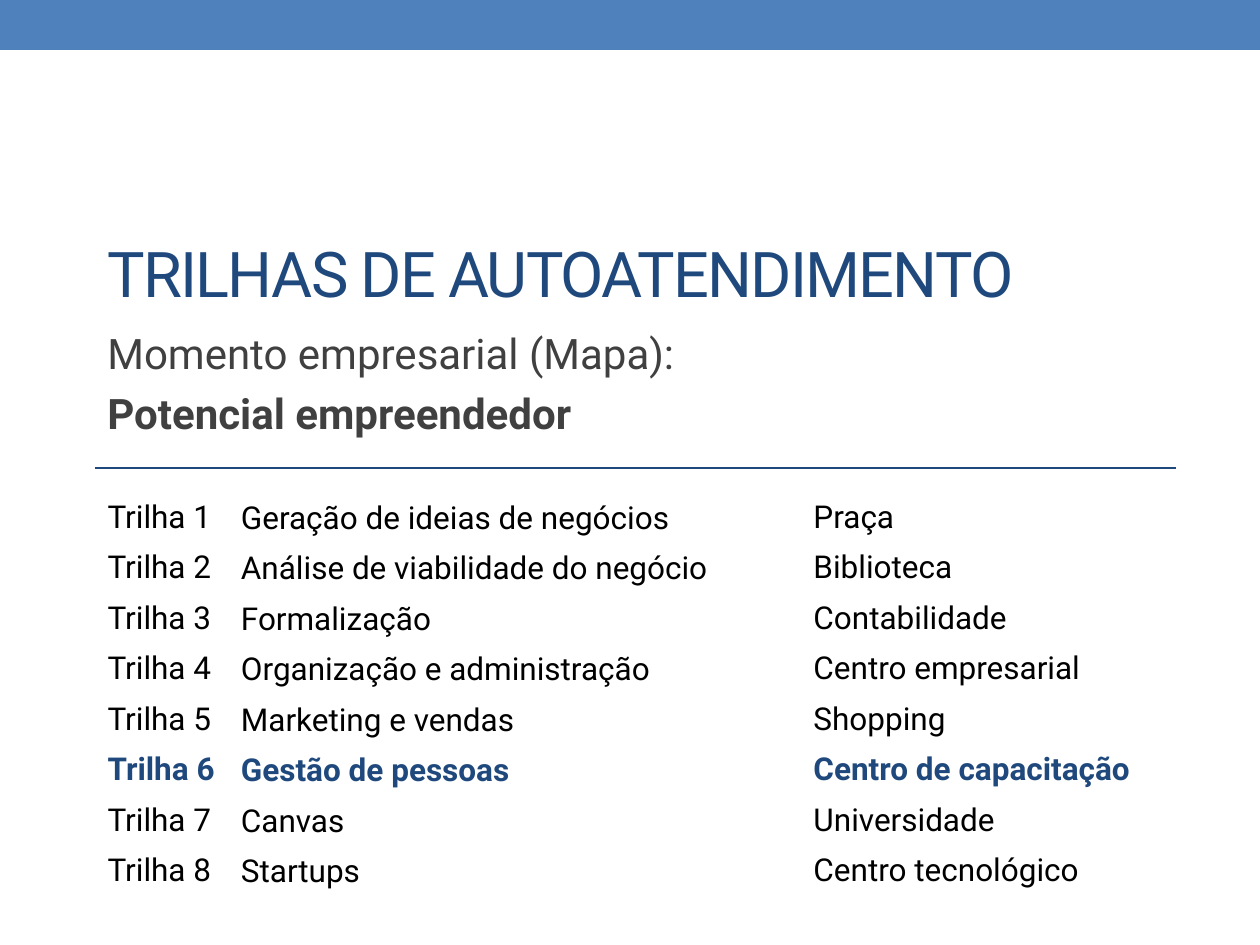
import pptx
import pptx.dml.color
import pptx.enum.shapes
import pptx.enum.text
import pptx.oxml.ns
import pptx.util
import lxml.etree

EMU_PER_PX = 914400 // 126
SLIDE_WIDTH, SLIDE_HEIGHT = 1260, 945
LEFT = 95
FONT = "Roboto"
COLORS = {"band": "4F81BD", "accent": "1F497D", "subtitle": "404040", "body": "000000"}

COLUMN_WIDTHS = [145, 561, 425]
ROW_HEIGHT = 49
HIGHLIGHTED_TRAIL = 6
TRAILS = [
    ("Geração de ideias de negócios", "Praça"),
    ("Análise de viabilidade do negócio", "Biblioteca"),
    ("Formalização", "Contabilidade"),
    ("Organização e administração", "Centro empresarial"),
    ("Marketing e vendas", "Shopping"),
    ("Gestão de pessoas", "Centro de capacitação"),
    ("Canvas", "Universidade"),
    ("Startups", "Centro tecnológico"),
]


def px(length):
    return pptx.util.Emu(length * EMU_PER_PX)


def rgb(color):
    return pptx.dml.color.RGBColor.from_string(COLORS[color])


def style_paragraph(paragraph, size, color, bold=False):
    font = paragraph.font
    font.name = FONT
    font.size = pptx.util.Pt(size)
    font.bold = bold
    font.color.rgb = rgb(color)


def add_band(slide):
    band = slide.shapes.add_shape(
        pptx.enum.shapes.MSO_SHAPE.RECTANGLE, 0, 0, px(SLIDE_WIDTH), px(50))
    band.shadow.inherit = False
    band.fill.solid()
    band.fill.fore_color.rgb = rgb("band")
    band.line.fill.background()


def add_divider(slide):
    divider = slide.shapes.add_connector(
        pptx.enum.shapes.MSO_CONNECTOR.STRAIGHT, px(LEFT), px(468), px(1176), px(468))
    divider.line.color.rgb = rgb("accent")
    divider.line.width = pptx.util.Pt(1.5)
    lxml.etree.SubElement(divider._element.spPr, pptx.oxml.ns.qn("a:effectLst"))


def add_text_frame(slide, top, width, height):
    frame = slide.shapes.add_textbox(px(LEFT), px(top), px(width), px(height)).text_frame
    frame.word_wrap = True
    return frame


def add_title(slide):
    frame = add_text_frame(slide, 50, 1081, 266)
    frame.vertical_anchor = pptx.enum.text.MSO_ANCHOR.BOTTOM
    frame.text = "TRILHAS DE AUTOATENDIMENTO"
    title = frame.paragraphs[0]
    style_paragraph(title, 36, "accent")
    title.runs[0]._r.get_or_add_rPr().set("spc", "-100")


def add_subtitle(slide):
    frame = add_text_frame(slide, 321, 882, 134)
    frame.text = "Momento empresarial (Mapa):\nPotencial empreendedor"
    for paragraph, bold in zip(frame.paragraphs, (False, True)):
        style_paragraph(paragraph, 24, "subtitle", bold)
        paragraph.space_before = pptx.util.Pt(5.6)


def add_trails_table(slide):
    table = slide.shapes.add_table(
        len(TRAILS), len(COLUMN_WIDTHS), px(LEFT), px(493),
        px(sum(COLUMN_WIDTHS)), px(ROW_HEIGHT * len(TRAILS))).table
    table.first_row = False
    table.horz_banding = False
    for column, width in zip(table.columns, COLUMN_WIDTHS):
        column.width = px(width)
    for number, (row, (topic, place)) in enumerate(zip(table.rows, TRAILS), start=1):
        highlighted = number == HIGHLIGHTED_TRAIL
        for cell, text in zip(row.cells, (f"Trilha {number}", topic, place)):
            cell.fill.background()
            cell.text = text
            style_paragraph(cell.text_frame.paragraphs[0], 18,
                            "accent" if highlighted else "body", highlighted)
        topic_cell = row.cells[1]
        topic_cell.vertical_anchor = pptx.enum.text.MSO_ANCHOR.MIDDLE
        topic_cell.margin_left = topic_cell.margin_right = topic_cell.margin_top = px(1)
        topic_cell.margin_bottom = 0


def main():
    presentation = pptx.Presentation()
    presentation.slide_width = px(SLIDE_WIDTH)
    presentation.slide_height = px(SLIDE_HEIGHT)
    slide = presentation.slides.add_slide(presentation.slide_layouts[6])
    add_band(slide)
    add_divider(slide)
    add_title(slide)
    add_subtitle(slide)
    add_trails_table(slide)
    presentation.save("out.pptx")


if __name__ == "__main__":
    main()
